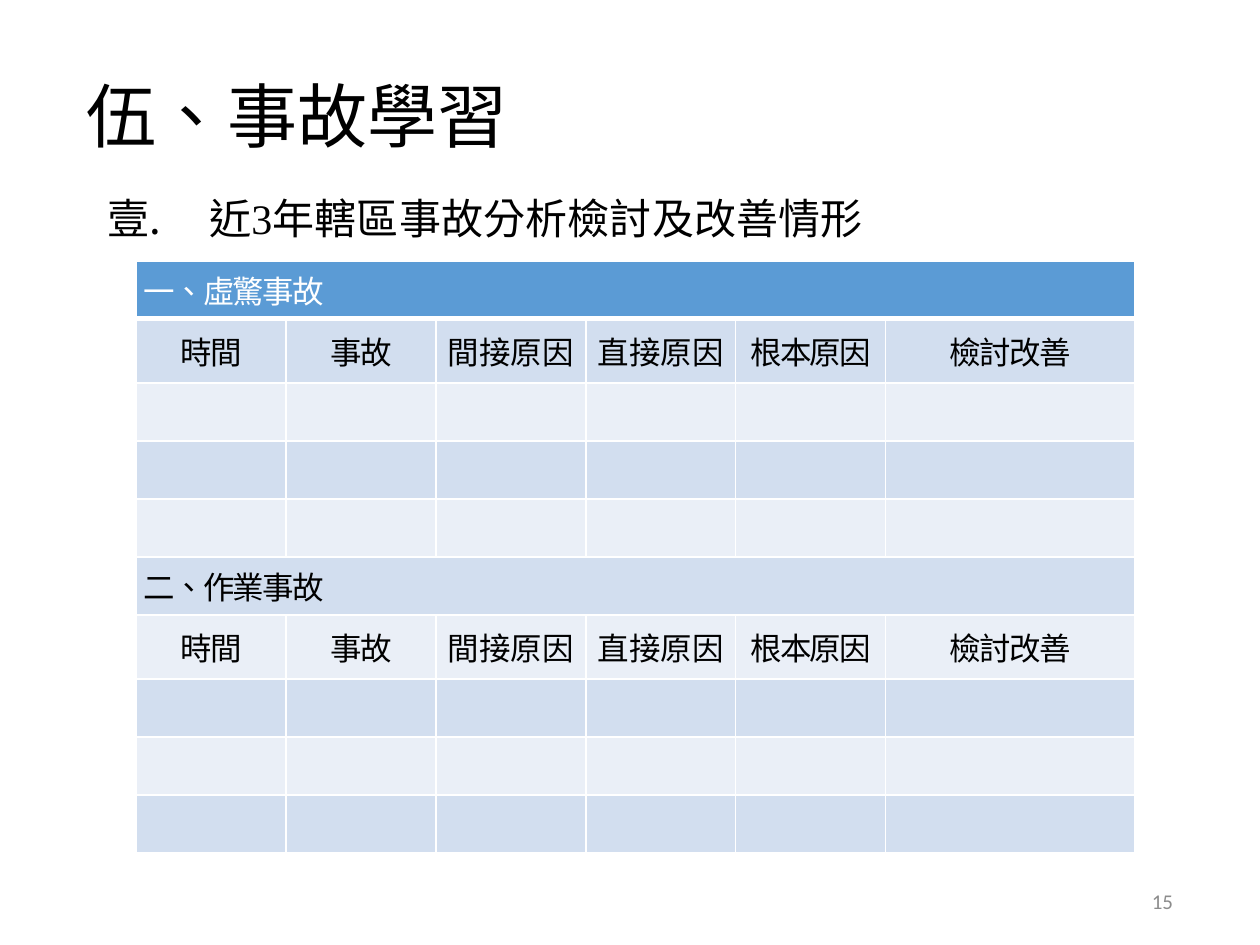
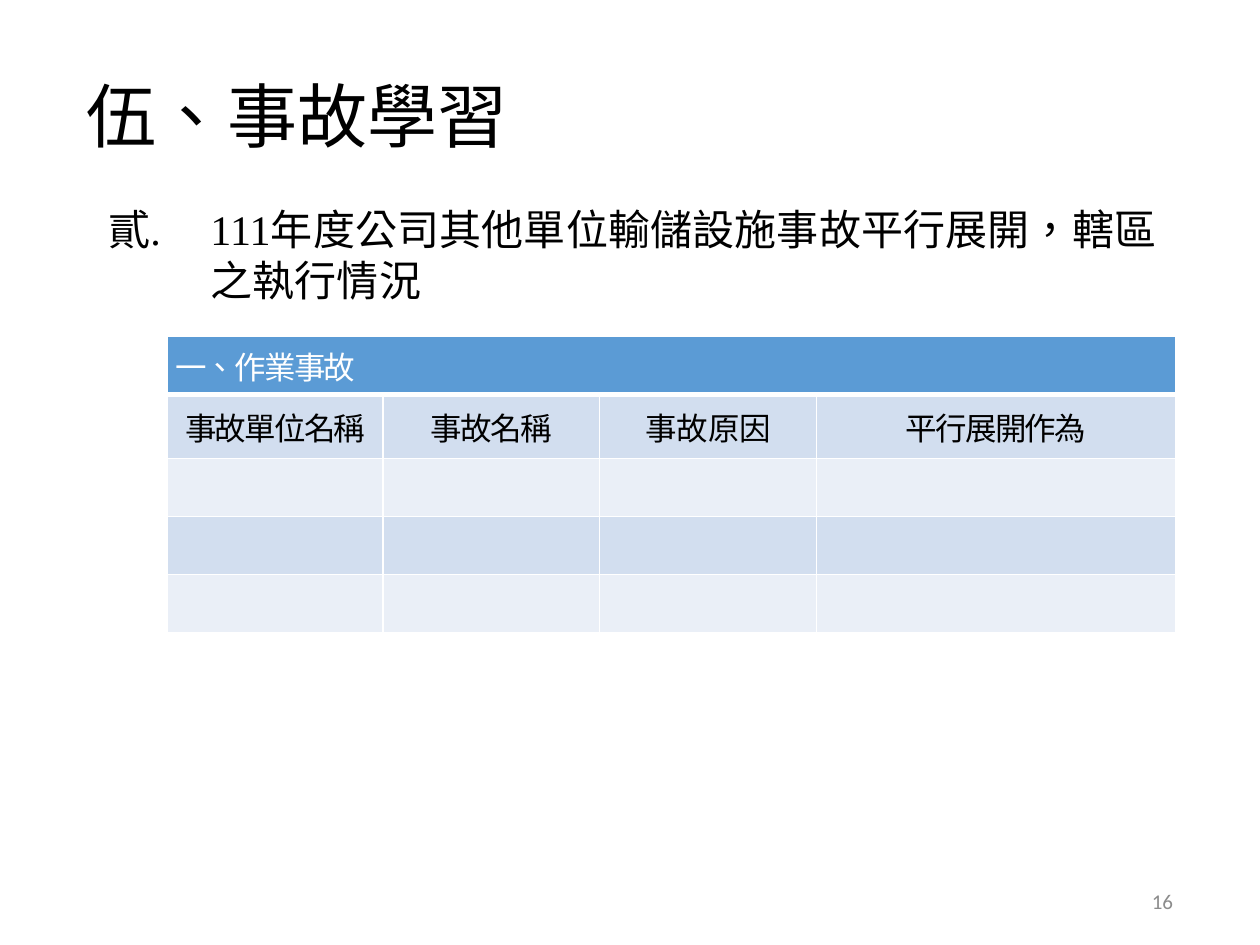
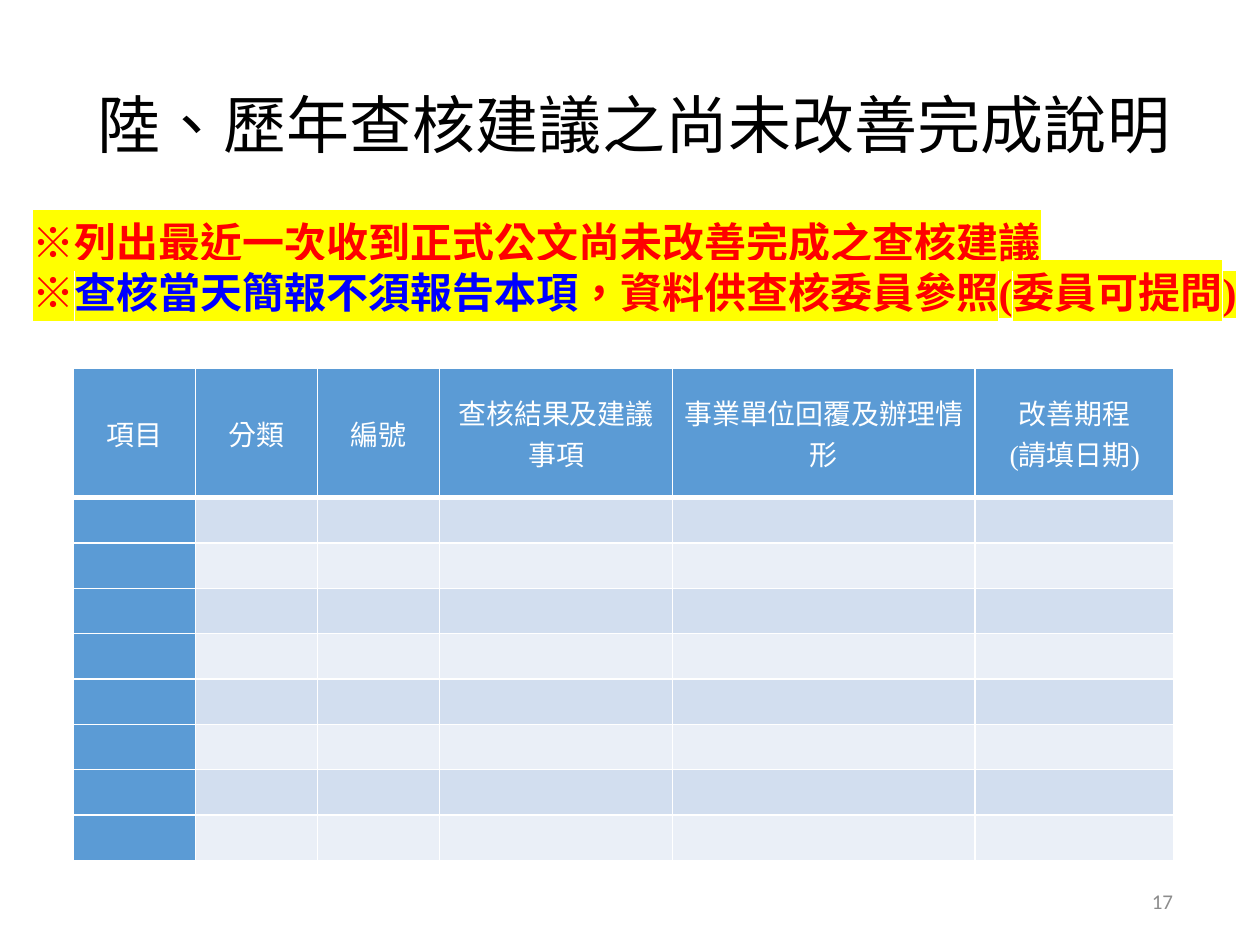
from lxml.etree import SubElement
from pptx import Presentation
from pptx.dml.color import RGBColor
from pptx.enum.text import MSO_ANCHOR, MSO_AUTO_SIZE, PP_ALIGN
from pptx.oxml.ns import qn
from pptx.util import Inches, Pt

COLORS = {
    "black": "000000", "white": "FFFFFF", "gray": "8C8C8C", "red": "FF0000",
    "blue": "0000FF", "yellow": "FFFF00",
    "header": "5B9BD5", "dark_band": "D2DEEF", "light_band": "EAEFF7",
}
SERIF, CHINESE, NUMBER = "Times New Roman", "Noto Sans CJK SC", "Calibri"
TITLE_ONLY, TITLE_AND_BODY = 5, 1
LINE_PITCH = 28.7

CAUSES = ["時間", "事故", "間接原因", "直接原因", "根本原因", "檢討改善"]
INCIDENT_SLIDES = [
    {
        "number": 15, "title": "伍、事故學習",
        "heading": "近3年轄區事故分析檢討及改善情形",
        "start": 1, "heading_box": (0.83, 1.48, 7.08, 0.4),
        "table_at": (1.08, 2.07),
        "columns": [1.19] * 5 + [1.98],
        "sections": [("一、虛驚事故", CAUSES), ("二、作業事故", CAUSES)],
    },
    {
        "number": 16, "title": "伍、事故學習",
        "heading": "111年度公司其他單位輸儲設施事故平行展開，轄區之執行情況",
        "start": 2, "heading_box": (0.84, 1.57, 8.66, 0.81),
        "table_at": (1.33, 2.67),
        "columns": [1.71, 1.72, 1.72, 2.85],
        "sections": [("一、作業事故",
                      ["事故單位名稱", "事故名稱", "事故原因", "平行展開作為"])],
    },
]
UNSPACED_LABELS = {"間接原因", "直接原因", "事故原因"}
SECTION_HEIGHTS = [0.46, 0.51] + [0.46] * 3

REVIEW_NUMBER = 17
REVIEW_TITLE = "陸、歷年查核建議之尚未改善完成說明"
REVIEW_NOTES = [
    [("※列出最近一次收到正式公文尚未改善完成之查核建議", "red")],
    [("※", "red"), ("查核當天簡報不須報告本項", "blue"),
     ("，資料供查核委員參照(委員可提問)", "red")],
]
REVIEW_HEADERS = ["項目", "分類", "編號", "查核結果及建議事項",
                  "事業單位回覆及辦理情形", "改善期程\n(請填日期)"]
REVIEW_COLUMNS = [0.97] * 3 + [1.85, 2.4, 1.58]
REVIEW_HEIGHTS = [1.03] + [0.36] * 8


def rgb(name):
    """Return the palette colour called name."""
    return RGBColor.from_string(COLORS[name])


def style_paragraph(paragraph, size, font, color, align=PP_ALIGN.LEFT, bold=False):
    """Set the font and alignment shared by all runs of a paragraph."""
    paragraph.alignment = align
    paragraph.font.size = Pt(size)
    paragraph.font.name = font
    paragraph.font.bold = bold
    paragraph.font.color.rgb = rgb(color)
    properties = paragraph._p.get_or_add_pPr().get_or_add_defRPr()
    SubElement(properties, qn("a:ea"), typeface=CHINESE)


def add_run(paragraph, text, spacing=0.0):
    """Add a Traditional Chinese run with letter spacing in points."""
    run = paragraph.add_run()
    run.text = text
    properties = run._r.get_or_add_rPr()
    properties.set("lang", "zh-TW")
    properties.set("spc", str(round(spacing * 100)))
    return run


def prepare_frame(shape, box, anchor=MSO_ANCHOR.TOP, inset=(0, 0, 0, 0)):
    """Place a text shape and return its wrapped text frame."""
    shape.left, shape.top, shape.width, shape.height = map(Inches, box)
    frame = shape.text_frame
    frame.word_wrap = True
    frame.auto_size = MSO_AUTO_SIZE.NONE
    frame.vertical_anchor = anchor
    (frame.margin_left, frame.margin_top,
     frame.margin_right, frame.margin_bottom) = map(Inches, inset)
    return frame


def add_page(presentation, layout, title, number, title_box, title_size, title_font):
    """Add a slide with its title and page number."""
    slide = presentation.slides.add_slide(presentation.slide_layouts[layout])
    frame = prepare_frame(slide.shapes.title, title_box, MSO_ANCHOR.MIDDLE,
                          (0.02, 0, 0, 0))
    paragraph = frame.paragraphs[0]
    style_paragraph(paragraph, title_size, title_font, "black")
    add_run(paragraph, title, 0.1)

    box = (7.06, 6.95, 2.25, 0.4)
    shape = slide.shapes.add_textbox(*map(Inches, box))
    paragraph = prepare_frame(shape, box, MSO_ANCHOR.MIDDLE).paragraphs[0]
    style_paragraph(paragraph, 12, NUMBER, "gray", PP_ALIGN.RIGHT)
    add_run(paragraph, str(number))
    return slide


def add_heading(slide, text, start, box):
    """Fill the body placeholder with one numbered heading."""
    frame = prepare_frame(slide.placeholders[1], box, inset=(0, 0.05, 0, 0))
    paragraph = frame.paragraphs[0]
    paragraph.line_spacing = Pt(LINE_PITCH)
    paragraph.space_before = Pt(0)
    style_paragraph(paragraph, 24, SERIF, "black")
    add_run(paragraph, text, 0.1)
    properties = paragraph._p.get_or_add_pPr()
    properties.set("marL", str(Inches(0.83)))
    properties.set("indent", str(Inches(-0.81)))
    numbering = SubElement(properties, qn("a:buAutoNum"),
                           type="ea1ChtPeriod", startAt=str(start))
    properties.get_or_add_defRPr().addprevious(numbering)


def style_cell(cell, fill, margins, bottom_width=1):
    """Give a cell its fill, margins and white borders."""
    cell.vertical_anchor = MSO_ANCHOR.MIDDLE
    cell.margin_left = cell.margin_right = Inches(margins[0])
    cell.margin_top = cell.margin_bottom = Inches(margins[1])
    properties = cell._tc.get_or_add_tcPr()
    for side, width in (("L", 1), ("R", 1), ("T", 1), ("B", bottom_width)):
        line = SubElement(properties, qn(f"a:ln{side}"), w=str(Pt(width)))
        solid = SubElement(line, qn("a:solidFill"))
        SubElement(solid, qn("a:srgbClr"), val=COLORS["white"])
    cell.fill.solid()
    cell.fill.fore_color.rgb = rgb(fill)


def write_cell(cell, text, size, font, color, align, spacing):
    """Write the lines of a cell as paragraphs."""
    frame = cell.text_frame
    for index, line in enumerate(text.split("\n")):
        paragraph = frame.add_paragraph() if index else frame.paragraphs[0]
        style_paragraph(paragraph, size, font, color, align)
        add_run(paragraph, line, spacing)


def add_banded_table(slide, position, columns, heights, margins, header_column=False):
    """Add an empty table with a header row and alternating bands."""
    box = (*position, sum(columns), sum(heights))
    table = slide.shapes.add_table(len(heights), len(columns), *map(Inches, box)).table
    table.first_row = table.horz_banding = False
    for column, width in zip(table.columns, columns):
        column.width = Inches(width)
    for row_index, (row, height) in enumerate(zip(table.rows, heights)):
        row.height = Inches(height)
        band = "dark_band" if row_index % 2 else "light_band"
        for column_index, cell in enumerate(row.cells):
            is_header = row_index == 0 or (header_column and column_index == 0)
            style_cell(cell, "header" if is_header else band, margins,
                       1 if row_index else 3)
    return table


def add_incident_slide(presentation, content):
    """Build a slide with a numbered heading and a table of sections."""
    slide = add_page(presentation, TITLE_AND_BODY, content["title"],
                     content["number"], (0.67, 0.57, 8.66, 0.67), 40, SERIF)
    sections = content["sections"]
    table = add_banded_table(slide, content["table_at"], content["columns"],
                             SECTION_HEIGHTS * len(sections), (0.06, 0.03))
    for index, (name, labels) in enumerate(sections):
        top = index * len(SECTION_HEIGHTS)
        section_cell = table.cell(top, 0)
        section_cell.merge(table.cell(top, len(labels) - 1))
        write_cell(section_cell, name, 18, CHINESE, "black" if index else "white",
                   PP_ALIGN.LEFT, -1)
        for column, label in enumerate(labels):
            write_cell(table.cell(top + 1, column), label, 18, CHINESE, "black",
                       PP_ALIGN.CENTER, 0 if label in UNSPACED_LABELS else -1)
    add_heading(slide, content["heading"], content["start"], content["heading_box"])


def add_review_notes(slide):
    """Add the highlighted notes above the review table."""
    box = (0.16, 1.64, 9.85, 0.91)
    shape = slide.shapes.add_textbox(*map(Inches, box))
    frame = prepare_frame(shape, box, inset=(0.1, 0.08, 0.1, 0.05))
    for index, parts in enumerate(REVIEW_NOTES):
        paragraph = frame.add_paragraph() if index else frame.paragraphs[0]
        paragraph.line_spacing = Pt(LINE_PITCH)
        style_paragraph(paragraph, 24, SERIF, "red", bold=True)
        for text, color in parts:
            run = add_run(paragraph, text)
            run.font.color.rgb = rgb(color)
            highlight = SubElement(run._r.get_or_add_rPr(), qn("a:highlight"))
            SubElement(highlight, qn("a:srgbClr"), val=COLORS["yellow"])


def add_review_slide(presentation):
    """Build the slide of review suggestions still open."""
    slide = add_page(presentation, TITLE_ONLY, REVIEW_TITLE, REVIEW_NUMBER,
                     (0.75, 0.67, 8.75, 0.61), 36, CHINESE)
    table = add_banded_table(slide, (0.58, 2.92), REVIEW_COLUMNS, REVIEW_HEIGHTS,
                             (0.07, 0), header_column=True)
    for column, label in enumerate(REVIEW_HEADERS):
        write_cell(table.cell(0, column), label, 16, SERIF, "white",
                   PP_ALIGN.CENTER, 0)
    add_review_notes(slide)


presentation = Presentation()
presentation.slide_width, presentation.slide_height = Inches(10), Inches(7.5)
for incident_content in INCIDENT_SLIDES:
    add_incident_slide(presentation, incident_content)
add_review_slide(presentation)
presentation.save("out.pptx")
